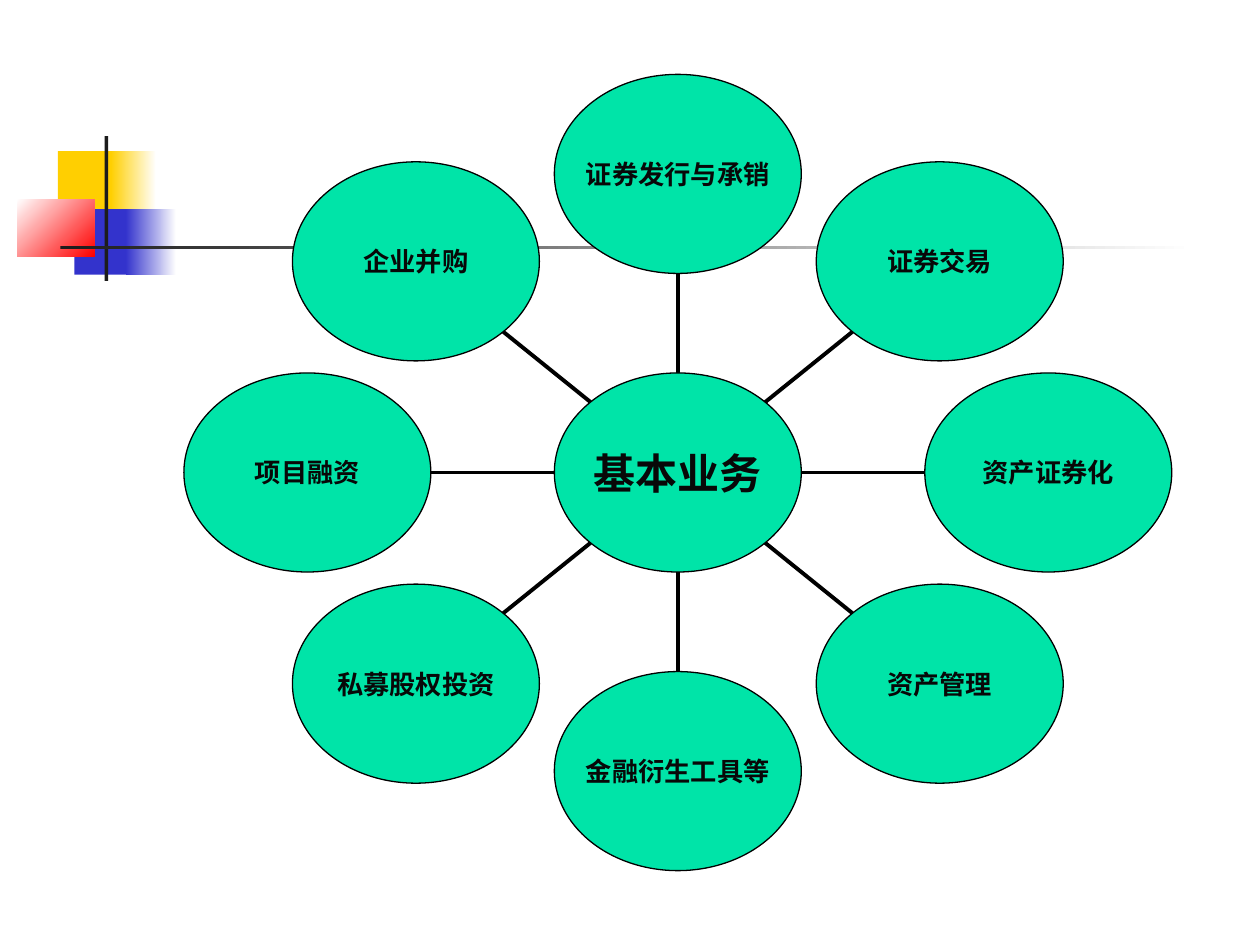
from dataclasses import dataclass
from math import cos, radians, sin

from lxml import etree
from pptx import Presentation
from pptx.dml.color import RGBColor
from pptx.enum.shapes import MSO_CONNECTOR, MSO_SHAPE
from pptx.enum.text import MSO_ANCHOR, PP_ALIGN
from pptx.oxml.ns import qn
from pptx.slide import Slide
from pptx.util import Inches, Pt

RECTANGLE, OVAL = MSO_SHAPE.RECTANGLE, MSO_SHAPE.OVAL
STRAIGHT = MSO_CONNECTOR.STRAIGHT
CENTER, MIDDLE = PP_ALIGN.CENTER, MSO_ANCHOR.MIDDLE


@dataclass(frozen=True)
class Theme:
    font: str = "Arial"
    hub_size: float = 24
    node_size: float = 15
    spoke_width: float = 2.25
    outline_width: float = 0.75
    node: str = "00E4A8"
    line: str = "000000"
    text: str = "080808"
    white: str = "FFFFFF"
    yellow: str = "FFCF01"
    blue: str = "3333CC"
    red: str = "FF0000"
    dark: str = "1C1C1C"


THEME = Theme()


@dataclass(frozen=True)
class Block:
    """A decorative rectangle; an end colour makes it a gradient."""
    left: float
    top: float
    width: float
    height: float
    color: str
    end_color: str = ""
    angle: float = 0  # clockwise degrees


@dataclass(frozen=True)
class Node:
    label: str
    angle: float  # clockwise degrees from the right


BLOCKS = [
    Block(0.46, 1.2, 0.48, 0.52, THEME.yellow),
    Block(0.88, 1.2, 0.36, 0.52, THEME.yellow, THEME.white),
    Block(0.59, 1.66, 0.46, 0.52, THEME.blue),
    Block(1, 1.66, 0.4, 0.52, THEME.blue, THEME.white),
    Block(0.14, 1.58, 0.61, 0.46, THEME.white, THEME.red, 45),
    Block(0.83, 1.08, 0.03, 1.15, THEME.dark),
    Block(0.48, 1.95, 9, 0.03, THEME.dark, THEME.white),
]

# Clockwise from the top
LABELS = ["证券发行与承销", "证券交易", "资产证券化", "资产管理",
          "金融衍生工具等", "私募股权投资", "项目融资", "企业并购"]
NODES = [Node(label, index * 360 / len(LABELS) - 90)
         for index, label in enumerate(LABELS)]

HUB_LABEL = "基本业务"
HUB_X, HUB_Y = 5.38, 3.75
ORBIT_X, ORBIT_Y = 2.94, 2.37
NODE_WIDTH, NODE_HEIGHT = 1.96, 1.58


def color(code: str) -> RGBColor:
    return RGBColor.from_string(code)


def draw_block(page: Slide, block: Block) -> None:
    box = page.shapes.add_shape(RECTANGLE, Inches(block.left), Inches(block.top),
                                Inches(block.width), Inches(block.height))
    box.shadow.inherit = False
    box.line.fill.background()
    if not block.end_color:
        box.fill.solid()
        box.fill.fore_color.rgb = color(block.color)
        return
    box.fill.gradient()
    box.fill.gradient_angle = (360 - block.angle) % 360
    for stop, code in zip(box.fill.gradient_stops, (block.color, block.end_color)):
        stop.color.rgb = color(code)


def orbit_point(angle: float, radius_x: float, radius_y: float) -> tuple[float, float]:
    turn = radians(angle)
    return HUB_X + radius_x * cos(turn), HUB_Y + radius_y * sin(turn)


def draw_spoke(page: Slide, node: Node) -> None:
    """Join the rim of the hub to the rim of a node."""
    half_width, half_height = NODE_WIDTH / 2, NODE_HEIGHT / 2
    start = orbit_point(node.angle, half_width, half_height)
    end = orbit_point(node.angle, ORBIT_X - half_width, ORBIT_Y - half_height)
    spoke = page.shapes.add_connector(STRAIGHT, *map(Inches, start + end))
    spoke.line.color.rgb = color(THEME.line)
    spoke.line.width = Pt(THEME.spoke_width)
    etree.SubElement(spoke.element.spPr, qn("a:effectLst"))


def draw_oval(page: Slide, label: str, center: tuple[float, float], size: float) -> None:
    center_x, center_y = center
    oval = page.shapes.add_shape(
        OVAL, Inches(center_x - NODE_WIDTH / 2), Inches(center_y - NODE_HEIGHT / 2),
        Inches(NODE_WIDTH), Inches(NODE_HEIGHT))
    oval.shadow.inherit = False
    oval.fill.solid()
    oval.fill.fore_color.rgb = color(THEME.node)
    oval.line.color.rgb = color(THEME.line)
    oval.line.width = Pt(THEME.outline_width)

    frame = oval.text_frame
    frame.word_wrap = False
    frame.vertical_anchor = MIDDLE
    frame.margin_left = frame.margin_right = 0
    frame.margin_top = frame.margin_bottom = 0
    para = frame.paragraphs[0]
    para.alignment = CENTER
    span = para.add_run()
    span.text = label
    span.font.name = THEME.font
    span.font.size = Pt(size)
    span.font.bold = True
    span.font.color.rgb = color(THEME.text)


def main() -> None:
    deck = Presentation()
    deck.slide_width, deck.slide_height = Inches(10), Inches(7.5)
    page = deck.slides.add_slide(deck.slide_layouts.get_by_name("Blank"))

    # Corner decoration and rule
    for block in BLOCKS:
        draw_block(page, block)

    # Radial diagram
    for node in NODES:
        draw_spoke(page, node)
        draw_oval(page, node.label, orbit_point(node.angle, ORBIT_X, ORBIT_Y),
                  THEME.node_size)
    draw_oval(page, HUB_LABEL, (HUB_X, HUB_Y), THEME.hub_size)

    deck.save("out.pptx")


if __name__ == "__main__":
    main()
